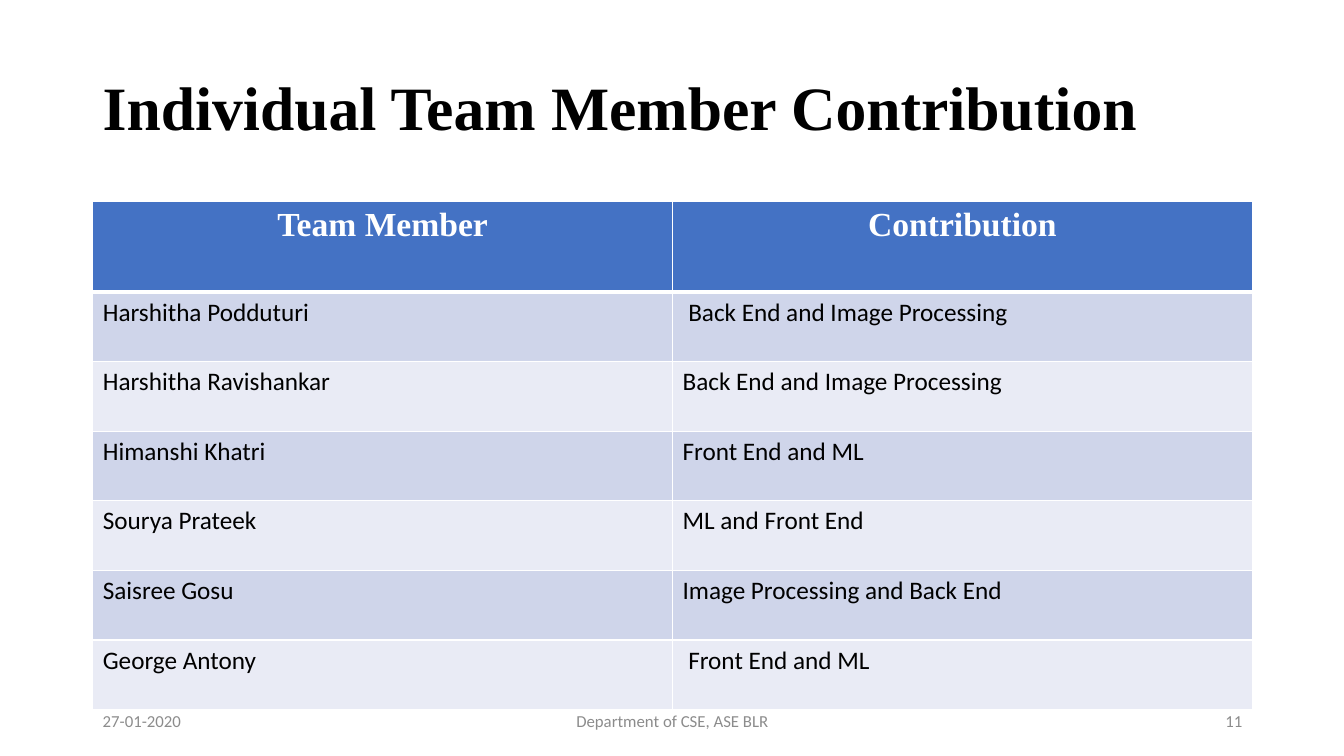
from lxml import etree
from pptx import Presentation, util as u
from pptx.dml.color import RGBColor
from pptx.enum import text
from pptx.oxml.ns import qn

LEFT, WIDTH = 0.92, 11.5
HEADER_HEIGHT, ROW_HEIGHT = 0.9, 0.69
SERIF, SANS = "Times New Roman", "Calibri"
START, CENTER, END = text.PP_ALIGN.LEFT, text.PP_ALIGN.CENTER, text.PP_ALIGN.RIGHT

contributions = [
    ("Team Member", "Contribution"),
    ("Harshitha Podduturi", " Back End and Image Processing"),
    ("Harshitha Ravishankar", "Back End and Image Processing"),
    ("Himanshi Khatri", "Front End and ML"),
    ("Sourya Prateek", "ML and Front End"),
    ("Saisree Gosu", "Image Processing and Back End"),
    ("George Antony", " Front End and ML"),
]


def color(value):
    """Turn a hex string into a colour."""
    return RGBColor.from_string(value)


def write(frame, words, size, font, ink, bold=False, align=START):
    """Set the text of a frame and format its only paragraph."""
    frame.text = words
    para = frame.paragraphs[0]
    para.alignment = align
    for span in para.runs:
        span.font.size = u.Pt(size)
        span.font.name = font
        span.font.bold = bold
        span.font.color.rgb = color(ink)


deck = Presentation()
deck.slide_width, deck.slide_height = u.Inches(13.33), u.Inches(7.5)
page = deck.slides.add_slide(deck.slide_layouts[6])

# Contribution table, with white rules and banded rows
total_height = HEADER_HEIGHT + ROW_HEIGHT * (len(contributions) - 1)
table = page.shapes.add_table(
    len(contributions), 2, u.Inches(LEFT), u.Inches(2),
    u.Inches(WIDTH), u.Inches(total_height)).table
for column in table.columns:
    column.width = u.Inches(WIDTH / 2)
for row, entries in enumerate(contributions):
    header = row == 0
    table.rows[row].height = u.Inches(HEADER_HEIGHT if header else ROW_HEIGHT)
    for column, words in enumerate(entries):
        cell = table.cell(row, column)
        if header:
            fill = "4472C4"
            write(cell.text_frame, words, 24, SERIF, "FFFFFF", True, CENTER)
        else:
            fill = "CFD5EA" if row % 2 else "E9EBF5"
            write(cell.text_frame, words, 18, SANS, "000000")
        properties = cell._tc.get_or_add_tcPr()
        for side in ("lnL", "lnR", "lnT", "lnB"):
            thick = (row, side) in ((0, "lnB"), (1, "lnT"))
            line = etree.SubElement(properties, qn("a:" + side),
                                    w=str(u.Pt(3 if thick else 1)))
            paint = etree.SubElement(line, qn("a:solidFill"))
            etree.SubElement(paint, qn("a:srgbClr"), val="FFFFFF")
        cell.fill.solid()
        cell.fill.fore_color.rgb = color(fill)

# Title and footer: left, top, width, height, then the text and its format
footer = (12, SANS, "8C8C8C", False)
captions = [
    (LEFT, 0.37, WIDTH, 1.45, "Individual Team Member Contribution",
     (44, SERIF, "000000", True), START),
    (LEFT, 6.95, 3, 0.4, "27-01-2020", footer, START),
    (LEFT + 3.5, 6.95, 4.5, 0.4, "Department of CSE, ASE BLR", footer, CENTER),
    (LEFT + WIDTH - 3, 6.95, 3, 0.4, "11", footer, END),
]
for left, top, width, height, words, style, align in captions:
    box = page.shapes.add_textbox(*map(u.Inches, (left, top, width, height)))
    frame = box.text_frame
    frame.word_wrap = True
    frame.vertical_anchor = text.MSO_ANCHOR.MIDDLE
    write(frame, words, *style, align)
    if style is not footer:
        frame.paragraphs[0].line_spacing = 0.9

deck.save("out.pptx")
